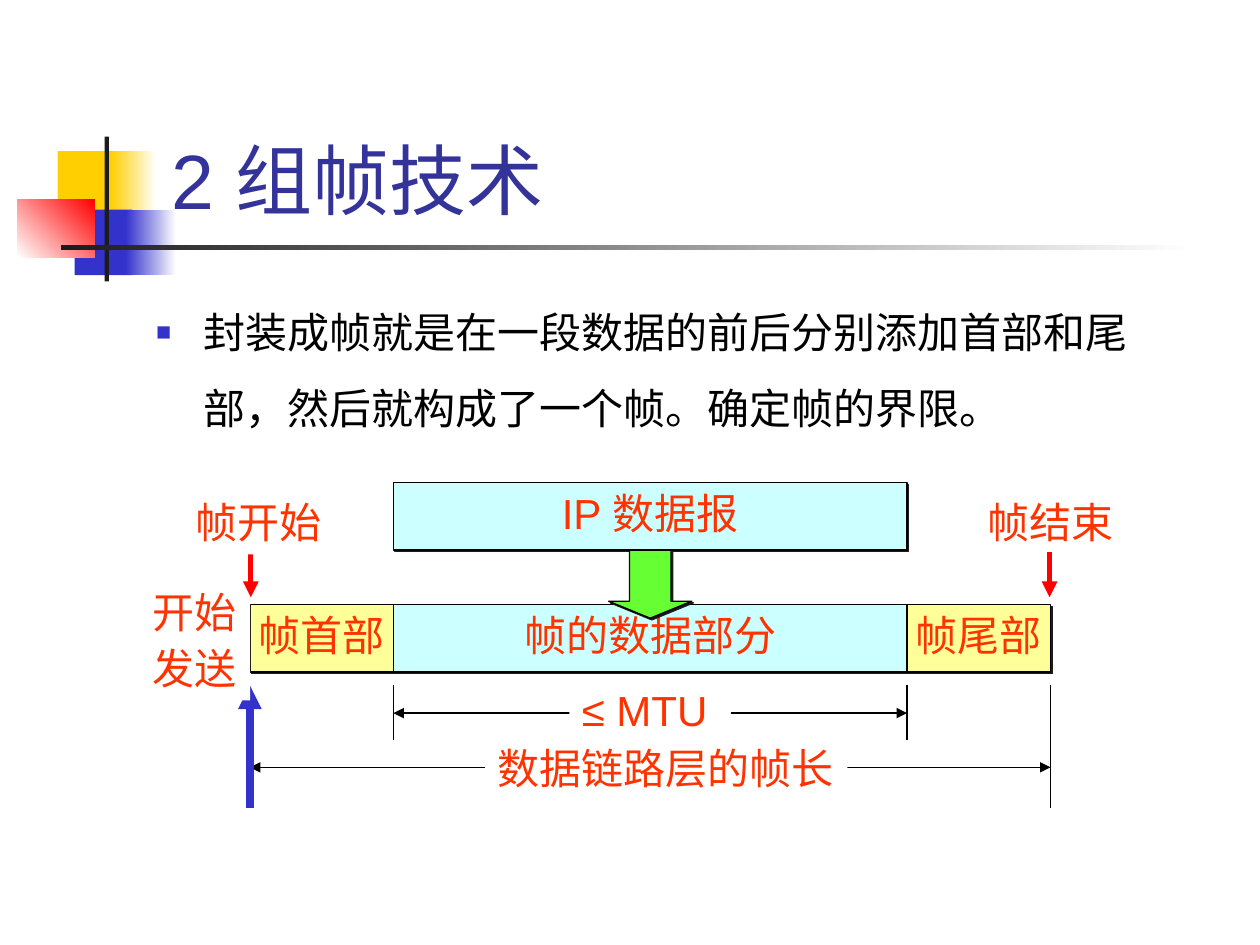
from lxml import etree
from pptx import Presentation
from pptx.dml.color import RGBColor
from pptx.enum import shapes, text
from pptx.oxml import ns
from pptx.util import Pt

HUES = {
    "gold": "FFCF01", "blue": "3333CC", "red": "FF0000", "white": "FFFFFF",
    "dark": "1C1C1C", "black": "000000", "title": "333399", "label": "FF3300",
    "cream": "FFFF99", "aqua": "CCFFFF", "green": "66FF33",
}
LATIN, HAN = "Arial", "Noto Sans CJK SC"
RECT = shapes.MSO_SHAPE.RECTANGLE

# Edges of the frame: header start, data start, data end, trailer end
START, DATA, TAIL, END = 142.8, 224.8, 518.3, 600.3
FRAME_Y, PACKET_Y, ROW_H = 345.5, 275.8, 38.5


def hue(name):
    return RGBColor.from_string(HUES[name])


def node(parent, tag, **attrs):
    return etree.SubElement(parent, ns.qn(tag), attrs)


def write(shape, words, size=24, color="label", font=LATIN, align=None,
          anchor=text.MSO_ANCHOR.TOP, lines=0.9, before=6, wrap=False,
          grow=False):
    """Fill a shape with text, one paragraph a line."""
    frame = shape.text_frame
    frame.word_wrap = wrap
    frame.vertical_anchor = anchor
    fit = text.MSO_AUTO_SIZE
    frame.auto_size = fit.SHAPE_TO_FIT_TEXT if grow else fit.NONE
    for i, line in enumerate(words.split("\n")):
        para = frame.add_paragraph() if i else frame.paragraphs[0]
        para.alignment = align or text.PP_ALIGN.LEFT
        para.line_spacing = lines
        para.space_before = Pt(before)
        run = para.add_run()
        run.text = line
        run.font.size = Pt(size)
        run.font.name = font
        run.font.color.rgb = hue(color)
        node(run._r.get_or_add_rPr(), "a:ea", typeface=HAN)
    return frame


def block(slide, box, fill, kind=RECT, fade=None, angle=0, edge=False):
    """Add a shape; fade makes a gradient, edge adds outline and shadow."""
    shape = slide.shapes.add_shape(kind, *map(Pt, box))
    shape.shadow.inherit = False
    if fade:
        shape.fill.gradient()
        shape.fill.gradient_angle = angle
        for stop, name in zip(shape.fill.gradient_stops, (fill, fade)):
            stop.color.rgb = hue(name)
    else:
        shape.fill.solid()
        shape.fill.fore_color.rgb = hue(fill)
    if edge:
        shape.line.color.rgb = hue("black")
        shape.line.width = Pt(0.75)
        effects = shape._element.spPr.find(ns.qn("a:effectLst"))
        shade = node(effects, "a:outerShdw", blurRad="0",
                     dist=str(Pt(1.4)), dir="2700000", algn="ctr")
        node(shade, "a:srgbClr", val=HUES["dark"])
    else:
        shape.line.fill.background()
    return shape


def cell(slide, left, right, top, fill, words):
    shape = block(slide, (left, top, right - left, ROW_H), fill, edge=True)
    write(shape, words, align=text.PP_ALIGN.CENTER,
          anchor=text.MSO_ANCHOR.MIDDLE)


def label(slide, box, words):
    write(block(slide, box, "white"), words, grow=True)


def rule(slide, x1, y1, x2, y2, color="black", width=0.75, ends=()):
    """Add a line with arrowheads at the given ends."""
    line = slide.shapes.add_connector(
        shapes.MSO_CONNECTOR.STRAIGHT, Pt(x1), Pt(y1), Pt(x2), Pt(y2))
    line.line.color.rgb = hue(color)
    line.line.width = Pt(width)
    for end in ends:
        node(line.line._get_or_add_ln(), end, type="triangle")
    node(line._element.spPr, "a:effectLst")


def decor(slide):
    block(slide, (33, 86.4, 34.6, 37.4), "gold")
    block(slide, (63.4, 86.4, 25.9, 37.4), "gold", fade="white")
    block(slide, (42.7, 119.8, 33, 37.4), "blue")
    block(slide, (72, 119.8, 28.8, 37.4), "blue", fade="white")
    block(slide, (10, 113.8, 44, 33.1), "white", fade="red", angle=45)
    block(slide, (59.8, 78, 2.4, 82.8), "dark")
    block(slide, (34.6, 140.2, 648, 2.4), "dark", fade="white")


def heads(slide):
    title = slide.shapes.add_textbox(*map(Pt, (90.7, 16.6, 613.4, 115.2)))
    write(title, "2 组帧技术", size=44, color="title", lines=1.0, before=0,
          anchor=text.MSO_ANCHOR.BOTTOM, wrap=True)
    body = slide.shapes.add_textbox(*map(Pt, (82.1, 157.4, 592.6, 306)))
    frame = write(body, "封装成帧就是在一段数据的前后分别添加首部和尾部，"
                  "然后就构成了一个帧。确定帧的界限。",
                  color="black", font=HAN, lines=1.5, wrap=True)
    props = frame.paragraphs[0]._p.get_or_add_pPr()
    props.set("marL", str(Pt(27)))
    props.set("indent", str(Pt(-27)))
    node(node(props, "a:buClr"), "a:srgbClr", val=HUES["blue"])
    node(props, "a:buSzPct", val="60000")
    node(props, "a:buFont", typeface=LATIN)
    node(props, "a:buChar", char="■")


def diagram(slide):
    label(slide, (557.3, 283.7, 87, 33.1), "帧结束")
    cell(slide, START, DATA, FRAME_Y, "cream", "帧首部")
    cell(slide, DATA, TAIL, PACKET_Y, "aqua", "IP 数据报")
    cell(slide, DATA, TAIL, FRAME_Y, "aqua", "帧的数据部分")
    cell(slide, TAIL, END, FRAME_Y, "cream", "帧尾部")

    both = ("a:headEnd", "a:tailEnd")
    rule(slide, DATA, 407.5, TAIL, 407.5, ends=both)
    rule(slide, START, 438.5, END, 438.5, ends=both)
    rule(slide, START, 391.7, START, 461.5, "blue", 4.5, both[:1])
    for x, foot in ((END, 461.5), (DATA, 422.6), (TAIL, 422.6)):
        rule(slide, x, 391.7, x, foot)

    label(slide, (325.4, 391, 92.2, 33.1), "≤ MTU")
    label(slide, (277.2, 424.1, 207, 33.1), "数据链路层的帧长")
    block(slide, (347.8, 314.4, 47.5, 38.9), "green",
          kind=shapes.MSO_SHAPE.DOWN_ARROW, edge=True).adjustments[1] = 0.25
    label(slide, (80, 334.8, 63, 65.5), "开始\n发送")
    for x in (START + 0.5, END - 0.5):
        rule(slide, x, 341.3, x, 315.4, "red", 3, both[:1])
    label(slide, (104.4, 283.7, 87, 33.1), "帧开始")


def main():
    deck = Presentation()
    deck.slide_width, deck.slide_height = Pt(720), Pt(540)
    slide = deck.slides.add_slide(deck.slide_layouts[6])
    decor(slide)
    heads(slide)
    diagram(slide)
    deck.save("out.pptx")


if __name__ == "__main__":
    main()
